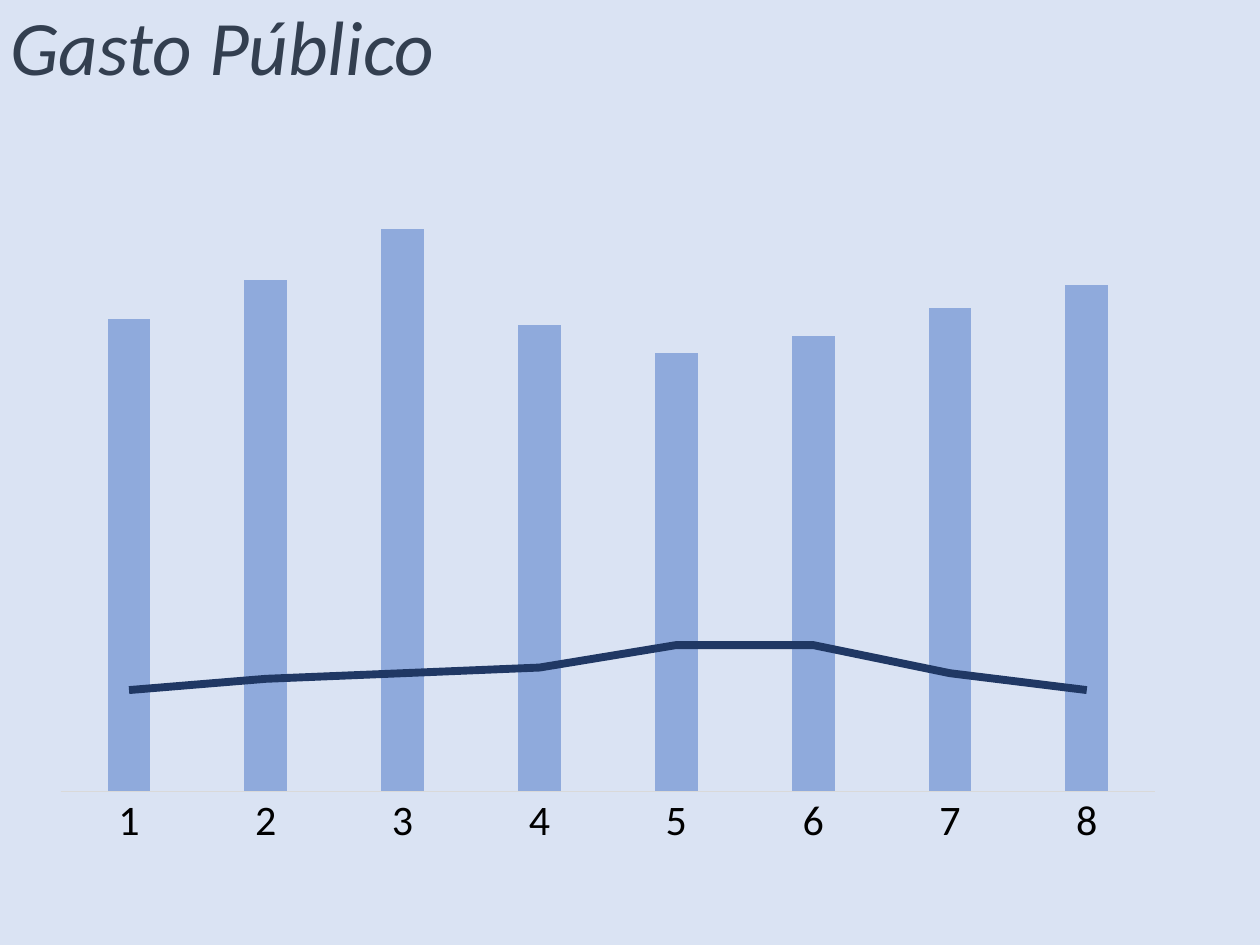
from lxml import etree
from pptx import Presentation
from pptx.chart.data import CategoryChartData
from pptx.dml.color import RGBColor
from pptx.enum.chart import XL_CHART_TYPE, XL_MARKER_STYLE, XL_TICK_MARK
from pptx.enum.text import MSO_ANCHOR, MSO_AUTO_SIZE, PP_ALIGN
from pptx.oxml import parse_xml
from pptx.oxml.ns import nsdecls, qn
from pptx.util import Inches, Pt

BACK = RGBColor(0xDA, 0xE3, 0xF3)
SLATE = RGBColor(0x33, 0x3F, 0x50)
BLACK = RGBColor(0, 0, 0)
GREY = RGBColor(0xD9, 0xD9, 0xD9)
BLUE = RGBColor(0x8F, 0xAA, 0xDC)
NAVY = RGBColor(0x20, 0x38, 0x64)
FONT = "Calibri"

BARS = (84, 91, 100, 83, 78, 81, 86, 90)
LINE = (18, 20, 21, 22, 26, 26, 21, 18)


def add_title(slide, left, top, width, height):
    title = slide.shapes.title
    title.left, title.top = Inches(left), Inches(top)
    title.width, title.height = Inches(width), Inches(height)
    frame = title.text_frame
    frame.text = "Gasto Público"
    frame.auto_size = MSO_AUTO_SIZE.NONE
    frame.vertical_anchor = MSO_ANCHOR.MIDDLE
    para = frame.paragraphs[0]
    para.alignment = PP_ALIGN.LEFT
    para.line_spacing = 0.9
    font = para.runs[0].font
    font.name, font.size, font.italic = FONT, Pt(44), True
    font.color.rgb = SLATE


def split_line(chart):
    """Move the last bar series to a line plot on the same axes."""
    bars = chart.plots[0]
    series = bars.series[-1]
    node = series.format.fill and bars.series[-1]._element
    group = node.getparent()
    plot = parse_xml(
        f'<c:lineChart {nsdecls("c")}><c:grouping val="standard"/>'
        '<c:varyColors val="0"/><c:marker val="1"/></c:lineChart>'
    )
    for flag in node.findall(qn("c:invertIfNegative")):
        node.remove(flag)
    plot.insert(2, node)
    for axis in group.findall(qn("c:axId")):
        etree.SubElement(plot, qn("c:axId")).set("val", axis.get("val"))
    group.addnext(plot)


def set_plot(chart, left, top, width, height):
    """Fix the inner plot area, in fractions of the chart."""
    area = chart.plots[0]._element.getparent()
    for old in area.findall(qn("c:layout")):
        area.remove(old)
    parts = zip("xywh", (left, top, width, height))
    sizes = "".join(f'<c:{key} val="{val}"/>' for key, val in parts)
    area.insert(0, parse_xml(
        f'<c:layout {nsdecls("c")}><c:manualLayout>'
        '<c:layoutTarget val="inner"/><c:xMode val="edge"/>'
        f'<c:yMode val="edge"/>{sizes}</c:manualLayout></c:layout>'
    ))


def add_spending(slide, left, top, width, height):
    data = CategoryChartData()
    data.categories = [str(n) for n in range(1, len(BARS) + 1)]
    data.add_series("Series 1", BARS)
    data.add_series("Series 2", LINE)
    chart = slide.shapes.add_chart(
        XL_CHART_TYPE.COLUMN_CLUSTERED, Inches(left), Inches(top),
        Inches(width), Inches(height), data,
    ).chart
    chart.has_legend = chart.has_title = False
    chart.font.name, chart.font.size = FONT, Pt(24)
    chart.font.color.rgb = BLACK

    split_line(chart)
    set_plot(chart, 0.02, 0.02, 0.96, 0.88)
    bars, trend = chart.plots
    bars.gap_width, bars.overlap = 219, -27
    bars.vary_by_categories = False
    fill = bars.series[0].format.fill
    fill.solid()
    fill.fore_color.rgb = BLUE
    curve = trend.series[0]
    curve.smooth = False
    curve.marker.style = XL_MARKER_STYLE.NONE
    curve.format.line.color.rgb = NAVY
    curve.format.line.width = Pt(4.5)

    base = chart.category_axis
    base.major_tick_mark = base.minor_tick_mark = XL_TICK_MARK.NONE
    base.format.line.color.rgb = GREY
    base.format.line.width = Pt(0.75)
    scale = chart.value_axis
    scale.minimum_scale, scale.maximum_scale = 0, 110
    scale.has_major_gridlines = False
    scale.visible = False


def main():
    deck = Presentation()
    deck.slide_width, deck.slide_height = Inches(10), Inches(7.5)
    slide = deck.slides.add_slide(deck.slide_layouts[5])
    fill = slide.background.fill
    fill.solid()
    fill.fore_color.rgb = BACK
    add_title(slide, -0.02, -0.01, 8.62, 0.83)
    add_spending(slide, 0.3, 1.26, 9.05, 5.58)
    deck.save("out.pptx")


if __name__ == "__main__":
    main()
